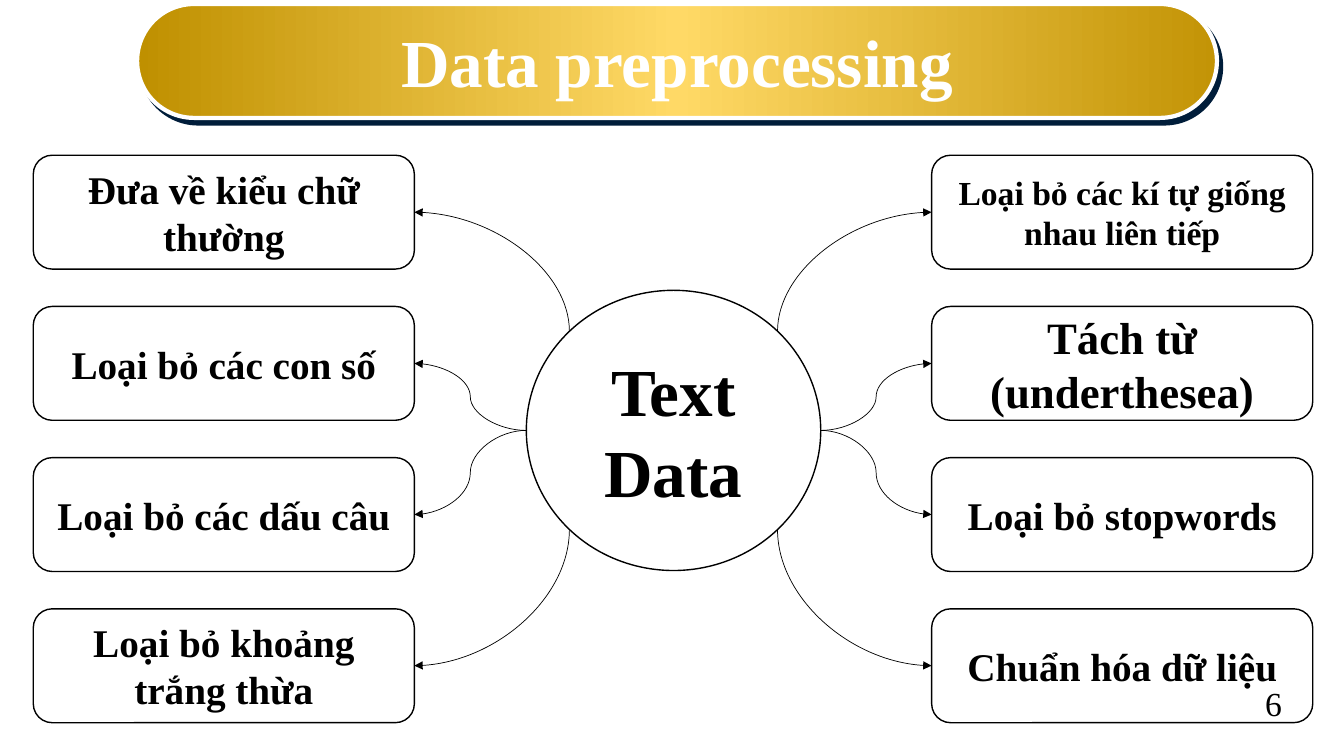
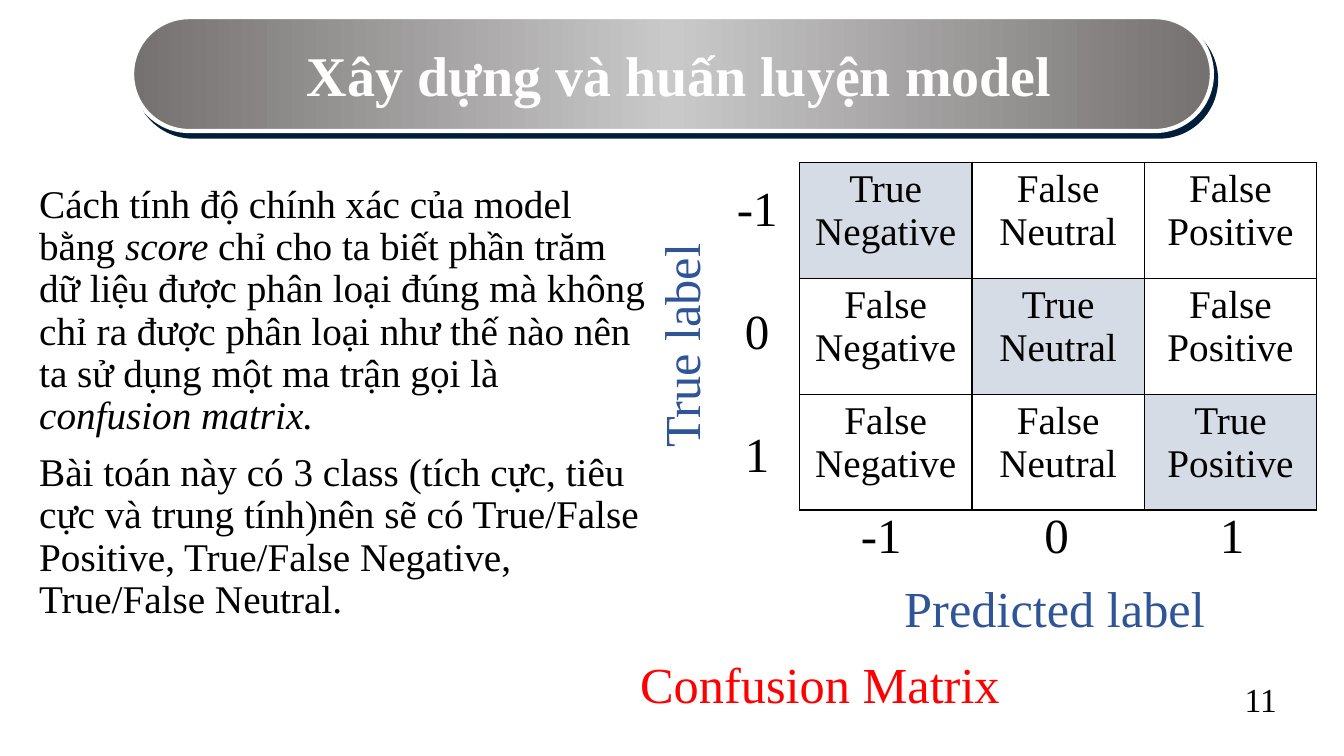
"""Build two slides on text preprocessing and the confusion matrix."""
from dataclasses import dataclass
from math import sqrt

from lxml.etree import SubElement
from pptx import Presentation
from pptx.dml.color import RGBColor
from pptx.enum.shapes import MSO_CONNECTOR, MSO_SHAPE
from pptx.enum.text import MSO_ANCHOR, MSO_AUTO_SIZE, PP_ALIGN
from pptx.oxml.ns import qn
from pptx.util import Inches, Pt


@dataclass(frozen=True)
class Theme:
    font: str = "Times New Roman"
    ink: str = "000000"
    paper: str = "FFFFFF"
    shadow: str = "001D3A"
    axis: str = "2F5597"
    caption: str = "FF0000"
    diagonal: str = "D6DCE5"
    gold: tuple = ("BF9000", "FFD966", "C39406")
    gray: tuple = ("767171", "C9C9C9", "767171")
    hub_size: int = 48
    label_size: int = 36
    tick_size: int = 35
    body_size: int = 28
    number_size: int = 24


THEME = Theme()


def write(frame, text, size=THEME.body_size, color=THEME.ink, bold=False,
          align=PP_ALIGN.CENTER, anchor=MSO_ANCHOR.MIDDLE, spacing=1.0, before=0):
    """Fill a frame, one paragraph per line, with *starred* words in italics."""
    frame.word_wrap = True
    frame.auto_size = MSO_AUTO_SIZE.NONE
    frame.vertical_anchor = anchor
    for index, line in enumerate(text.split("\n")):
        paragraph = frame.add_paragraph() if index else frame.paragraphs[0]
        paragraph.alignment = align
        paragraph.line_spacing = spacing
        paragraph.space_before = Pt(before)
        for position, piece in enumerate(line.split("*")):
            if piece:
                run = paragraph.add_run()
                run.text = piece
                run.font.name = THEME.font
                run.font.size = Pt(size)
                run.font.bold = bold
                run.font.italic = position % 2 == 1
                run.font.color.rgb = RGBColor.from_string(color)


def add_color(parent, color):
    """Append an RGB colour element."""
    SubElement(parent, qn("a:srgbClr"), val=color)


class Deck:
    """Holds the presentation and draws elements on its current slide."""

    def __init__(self):
        self.presentation = Presentation()
        self.presentation.slide_width = Inches(13.33)
        self.presentation.slide_height = Inches(7.5)
        self.slide = None

    def start(self, title, number, colors, left, top, size, indent=0.1):
        """Add a slide with its title banner."""
        self.slide = self.presentation.slides.add_slide(
            self.presentation.slide_layouts[5])
        place = [Inches(value) for value in (left, top, 10.71, 1.13)]
        placeholder = self.slide.shapes.title
        (placeholder.left, placeholder.top,
         placeholder.width, placeholder.height) = place
        placeholder.text_frame.margin_left = Inches(indent)
        write(placeholder.text_frame, title, size=size, color=THEME.paper, bold=True)
        placeholder.name = f"Title {number}"
        banner = self.slide.shapes.add_shape(MSO_SHAPE.ROUNDED_RECTANGLE, *place)
        placeholder.element.addprevious(banner.element)
        banner.adjustments[0] = 0.5
        banner.line.color.rgb = RGBColor.from_string(THEME.paper)
        banner.line.width = Pt(3)
        self.shade(banner, colors)

    def shade(self, shape, colors):
        """Give a shape a gradient from left to right and a hard shadow."""
        shape.fill.gradient()
        shape.fill.gradient_angle = 0
        properties = shape.element.spPr
        stops = properties.find(".//" + qn("a:gsLst"))
        for stop in list(stops):
            stops.remove(stop)
        for index, color in enumerate(colors):
            add_color(SubElement(stops, qn("a:gs"), pos=str(index * 50000)), color)
        shape.shadow.inherit = False
        shadow = SubElement(properties.find(qn("a:effectLst")), qn("a:outerShdw"),
                            dist=str(Pt(5)), dir=str(53 * 60000), algn="ctr",
                            rotWithShape="0")
        add_color(shadow, THEME.shadow)

    def node(self, kind, text, left, top, width, height, size):
        """Draw an outlined shape with bold text."""
        shape = self.slide.shapes.add_shape(
            kind, Inches(left), Inches(top), Inches(width), Inches(height))
        shape.shadow.inherit = False
        shape.fill.solid()
        shape.fill.fore_color.rgb = RGBColor.from_string(THEME.paper)
        shape.line.color.rgb = RGBColor.from_string(THEME.ink)
        shape.line.width = Pt(1)
        write(shape.text_frame, text, size=size, bold=True)

    def curve(self, start, end, preset):
        """Draw a curved line with its arrowhead at the start."""
        connector = self.slide.shapes.add_connector(
            MSO_CONNECTOR.CURVE, *[Inches(value) for value in (*start, *end)])
        connector.line.color.rgb = RGBColor.from_string(THEME.ink)
        connector.line.width = Pt(0.5)
        properties = connector.element.spPr
        properties.find(qn("a:prstGeom")).set("prst", preset)
        SubElement(properties.find(qn("a:ln")), qn("a:headEnd"), type="triangle")
        SubElement(properties, qn("a:effectLst"))

    def text(self, text, left, top, width, height, rotation=0, **style):
        """Add a text box."""
        box = self.slide.shapes.add_textbox(
            Inches(left), Inches(top), Inches(width), Inches(height))
        box.rotation = rotation
        write(box.text_frame, text, **style)

    def label(self, text, left, top, width, height, color=THEME.axis, rotation=0):
        """Add a large coloured label."""
        self.text(text, left, top, width, height, rotation, color=color,
                  size=THEME.label_size, align=PP_ALIGN.LEFT, spacing=0.9)

    def page_number(self, number, left, top, width):
        """Add the slide number."""
        self.text(str(number), left, top, width, 0.51, size=THEME.number_size,
                  anchor=MSO_ANCHOR.BOTTOM, spacing=0.9)

    def matrix(self, classes, left, top, column_width, row_height):
        """Add a square table with a shaded diagonal."""
        count = len(classes)
        table = self.slide.shapes.add_table(
            count, count, Inches(left), Inches(top),
            Inches(column_width * count), Inches(row_height * count)).table
        table.first_row = table.horz_banding = False
        for row in range(count):
            table.rows[row].height = Inches(row_height)
            table.columns[row].width = Inches(column_width)
            for column, name in enumerate(classes):
                match = row == column
                cell = table.cell(row, column)
                self.border(cell)
                cell.fill.solid()
                cell.fill.fore_color.rgb = RGBColor.from_string(
                    THEME.diagonal if match else THEME.paper)
                write(cell.text_frame, f"{match}\n{name}")
                cell.vertical_anchor = MSO_ANCHOR.TOP

    def border(self, cell):
        """Draw thin lines on all sides of a cell."""
        properties = cell._tc.get_or_add_tcPr()
        for side in ("lnL", "lnR", "lnT", "lnB"):
            line = SubElement(properties, qn(f"a:{side}"), w=str(Pt(1)))
            add_color(SubElement(line, qn("a:solidFill")), THEME.ink)


def preprocessing(deck):
    """Draw the hub with the eight preprocessing steps."""
    deck.start("Data preprocessing", 6, THEME.gold, 1.36, 0.04, 48)
    left_steps = [("Đưa về kiểu chữ thường", 28), ("Loại bỏ các con số", 28),
                  ("Loại bỏ các dấu câu", 28), ("Loại bỏ khoảng trắng thừa", 28)]
    right_steps = [("Loại bỏ các kí tự giống nhau liên tiếp", 24),
                   ("Tách từ (underthesea)", 32),
                   ("Loại bỏ stopwords", 28), ("Chuẩn hóa dữ liệu", 28)]
    center_x, center_y, radius_x, radius_y = 6.68, 4.27, 1.46, 1.39
    width, height, first_top, pitch = 3.78, 1.13, 1.54, 1.5
    deck.node(MSO_SHAPE.OVAL, "Text Data", center_x - radius_x, center_y - radius_y,
              2 * radius_x, 2 * radius_y, THEME.hub_size)
    for side, left, steps in ((-1, 0.33, left_steps), (1, 9.24, right_steps)):
        inner_edge = left + width if side < 0 else left
        for row, (step, size) in enumerate(steps):
            top = first_top + row * pitch
            deck.node(MSO_SHAPE.ROUNDED_RECTANGLE, step, left, top, width, height, size)
            start = (inner_edge, top + height / 2)
            if row in (0, 3):
                rise = -1 if row == 0 else 1
                end = (center_x + side * radius_x / sqrt(2),
                       center_y + rise * radius_y / sqrt(2))
                deck.curve(start, end, "curvedConnector2")
            else:
                end = (center_x + side * radius_x, center_y)
                deck.curve(start, end, "curvedConnector3")
    deck.page_number(6, 12.39, 6.72, 0.48)


def confusion_matrix(deck):
    """Draw the explanation and the confusion matrix."""
    deck.start("Xây dựng và huấn luyện model", 11, THEME.gray, 1.31, 0.17, 40, indent=0.24)
    deck.text("Cách tính độ chính xác của model bằng *score *chỉ cho ta biết phần trăm "
              "dữ liệu được phân loại đúng mà không chỉ ra được phân loại như thế nào "
              "nên ta sử dụng một ma trận gọi là *confusion matrix.*\n"
              "Bài toán này có 3 class (tích cực, tiêu cực và trung tính)nên sẽ có "
              "True/False Positive, True/False Negative, True/False Neutral.",
              0.29, 1.78, 6.32, 5.72, align=PP_ALIGN.LEFT,
              anchor=MSO_ANCHOR.TOP, spacing=0.9, before=10)
    deck.matrix(["Negative", "Neutral", "Positive"], 7.93, 1.61, 1.71, 1.15)
    deck.label("True label", 5.57, 2.6, 2.43, 1.45, rotation=270)
    deck.label("Predicted label", 8.87, 5.55, 3.64, 1.03)
    deck.label("Confusion Matrix", 6.25, 6.3, 4.44, 1.03, color=THEME.caption)
    for index, tick in enumerate(("-1", "0", "1")):
        for left, top in ((7.2, 1.81 + index * 1.22), (8.43 + index * 1.74, 5.05)):
            deck.text(tick, left, top, 0.62, 0.6, size=THEME.tick_size, spacing=0.8)
    deck.page_number(11, 12.13, 6.68, 0.75)


def main():
    """Build and save the presentation."""
    deck = Deck()
    preprocessing(deck)
    confusion_matrix(deck)
    deck.presentation.save("out.pptx")


if __name__ == "__main__":
    main()
